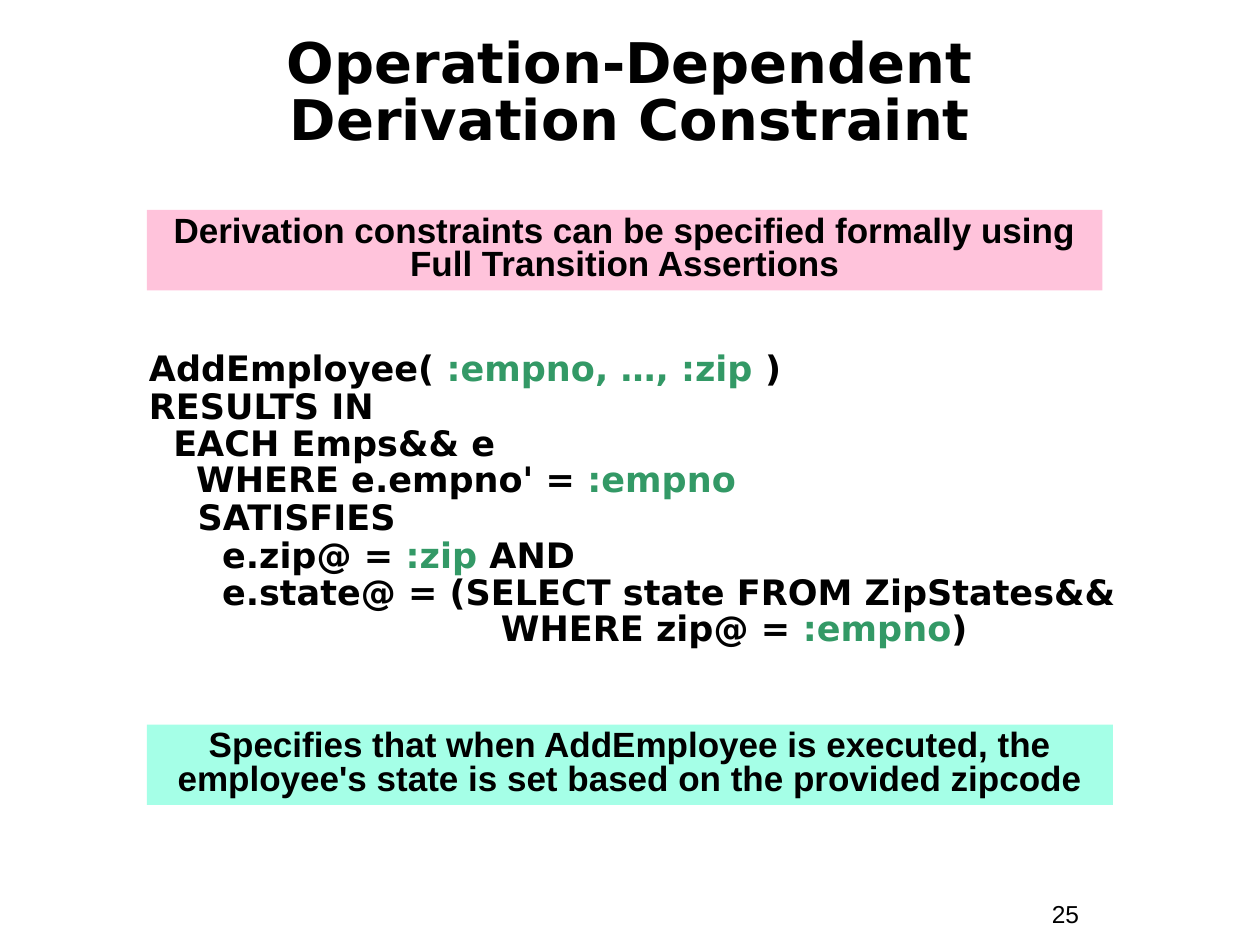
from pptx import Presentation
from pptx.dml.color import RGBColor
from pptx.enum.shapes import MSO_SHAPE as Shape
from pptx.enum.text import MSO_ANCHOR as Anchor, PP_ALIGN as Align
from pptx.util import Pt

COLORS = {"black": "000000", "green": "339966", "pink": "FFC3DB", "mint": "A5FFE7"}


def add_text(para, text, font="DejaVu Sans", size=20, color="black", bold=True):
    for index, line in enumerate(text.split("\n")):
        if index:
            para.add_line_break()
        if line:
            span = para.add_run()
            span.text = line
            span.font.name = font
            span.font.size = Pt(size)
            span.font.bold = bold
            span.font.color.rgb = RGBColor.from_string(COLORS[color])


deck = Presentation()
deck.slide_width, deck.slide_height = Pt(720), Pt(540)
page = deck.slides.add_slide(deck.slide_layouts[6])

number = page.shapes.add_textbox(Pt(594), Pt(510), Pt(66), Pt(24))
number.text_frame.word_wrap = True
add_text(number.text_frame.paragraphs[0], "25", font="Arial", size=14, bold=False)

title = page.shapes.add_textbox(Pt(24), Pt(24), Pt(672), Pt(60))
title.text_frame.word_wrap = True
title.text_frame.vertical_anchor = Anchor.MIDDLE
para = title.text_frame.paragraphs[0]
para.alignment = Align.CENTER
para.line_spacing = 0.85
add_text(para, "Operation-Dependent\nDerivation Constraint", size=32)

code_lines = [
    [("AddEmployee( ", "black"), (":empno, …, :zip", "green"), (" )", "black")],
    [("RESULTS IN", "black")],
    [("  EACH Emps&& e\nWHERE e.empno' = ", "black"), (":empno", "green")],
    [("    SATISFIES", "black")],
    [("      e.zip@ = ", "black"), (":zip", "green"), (" AND", "black")],
    [("      e.state@ = (SELECT state FROM ZipStates&&\n"
      "                         WHERE zip@ = ", "black"), (":empno", "green"), (")", "black")],
]
code = page.shapes.add_textbox(Pt(78), Pt(198), Pt(588), Pt(198))
code.text_frame.word_wrap = True
for index, pieces in enumerate(code_lines):
    para = code.text_frame.add_paragraph() if index else code.text_frame.paragraphs[0]
    para.line_spacing = 0.85
    if index:
        para.space_before = Pt(1.2)
    properties = para._p.get_or_add_pPr()
    properties.set("marL", str(Pt(27)))
    properties.set("indent", str(-Pt(27)))
    for text, color in pieces:
        add_text(para, text, color=color)

banners = [
    (120, 546, "pink",
     "Derivation constraints can be specified formally using Full Transition Assertions"),
    (414, 552, "mint",
     "Specifies that when AddEmployee is executed, the employee's state is set "
     "based on the provided zipcode"),
]
for top, width, color, text in banners:
    box = page.shapes.add_shape(Shape.RECTANGLE, Pt(84), Pt(top), Pt(width), Pt(46))
    box.shadow.inherit = False
    box.fill.solid()
    box.fill.fore_color.rgb = RGBColor.from_string(COLORS[color])
    box.line.fill.background()
    box.text_frame.word_wrap = True
    box.text_frame.vertical_anchor = Anchor.TOP
    para = box.text_frame.paragraphs[0]
    para.alignment = Align.CENTER
    para.line_spacing = 0.8
    add_text(para, text, font="Arial")

deck.save("out.pptx")
